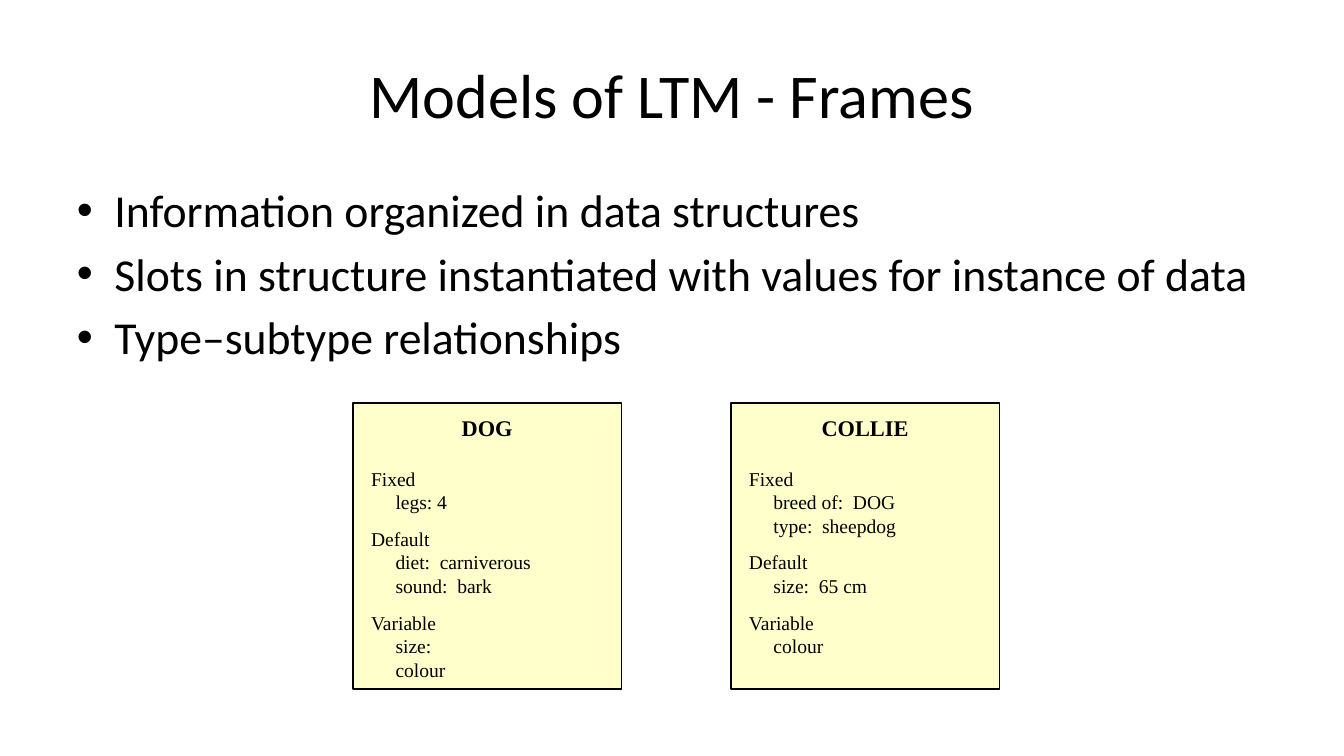
import pptx
import pptx.dml.color
import pptx.enum.shapes
import pptx.enum.text
import pptx.util
from lxml import etree
from pptx.util import Cm, Pt

BODY_FONT = "Calibri"
FRAME_FONT = "Times New Roman"
ALIGN = pptx.enum.text.PP_ALIGN
ANCHOR = pptx.enum.text.MSO_ANCHOR

POINTS = [
    "Information organized in data structures",
    "Slots in structure instantiated with values for instance of data",
    "Type–subtype relationships",
]
FRAMES = [
    ("DOG", {
        "Fixed": ["legs: 4"],
        "Default": ["diet:  carniverous", "sound:  bark"],
        "Variable": ["size:", "colour"],
    }),
    ("COLLIE", {
        "Fixed": ["breed of:  DOG", "type:  sheepdog"],
        "Default": ["size:  65 cm"],
        "Variable": ["colour"],
    }),
]


def colour(hex_value):
    return pptx.dml.color.RGBColor.from_string(hex_value)


def format_runs(paragraph, font_name, size, bold=False):
    for run in paragraph.runs:
        run.font.name = font_name
        run.font.size = Pt(size)
        run.font.bold = bold
        run.font.color.rgb = colour("000000")


def set_insets(text_frame, horizontal, vertical):
    text_frame.margin_left = text_frame.margin_right = horizontal
    text_frame.margin_top = text_frame.margin_bottom = vertical


def set_indent(paragraph, left, first_line=0):
    properties = paragraph._p.get_or_add_pPr()
    properties.set("marL", str(left))
    properties.set("indent", str(first_line))
    return properties


def add_bullet(paragraph):
    properties = set_indent(paragraph, Cm(1.04), -Cm(1.04))
    namespace = pptx.oxml.ns.qn
    etree.SubElement(properties, namespace("a:buFont")).set("typeface", "Arial")
    etree.SubElement(properties, namespace("a:buChar")).set("char", "•")


def next_paragraph(text_frame, text):
    """Use the empty first paragraph before adding further ones."""
    first = text_frame.paragraphs[0]
    paragraph = text_frame.add_paragraph() if first.runs else first
    paragraph.text = text
    return paragraph


def place_title(slide, left, top, width, height):
    title = slide.shapes.title
    title.left, title.top, title.width, title.height = left, top, width, height
    text_frame = title.text_frame
    text_frame.text = "Models of LTM - Frames"
    text_frame.vertical_anchor = ANCHOR.MIDDLE
    set_insets(text_frame, Cm(0.28), Cm(0.15))
    text_frame.paragraphs[0].alignment = ALIGN.CENTER
    format_runs(text_frame.paragraphs[0], BODY_FONT, 49)


def add_points(slide, left, top, width, height):
    text_frame = slide.shapes.add_textbox(left, top, width, height).text_frame
    text_frame.word_wrap = True
    set_insets(text_frame, Cm(0.28), Cm(0.15))
    for point in POINTS:
        paragraph = next_paragraph(text_frame, point)
        paragraph.space_before = Pt(7)
        add_bullet(paragraph)
        format_runs(paragraph, BODY_FONT, 36)


def add_frame(slide, name, slot_groups, left, top, width, height):
    """Draw one knowledge frame: its name, then its groups of slots."""
    frame = slide.shapes.add_shape(
        pptx.enum.shapes.MSO_SHAPE.RECTANGLE, left, top, width, height)
    frame.shadow.inherit = False
    frame.fill.solid()
    frame.fill.fore_color.rgb = colour("FFFFCC")
    frame.line.color.rgb = colour("000000")
    frame.line.width = Pt(1.5)

    text_frame = frame.text_frame
    text_frame.word_wrap = True
    text_frame.vertical_anchor = ANCHOR.TOP
    set_insets(text_frame, 0, Cm(0.31))
    heading = next_paragraph(text_frame, name)
    heading.alignment = ALIGN.CENTER
    heading.line_spacing = Pt(21)
    format_runs(heading, FRAME_FONT, 17.6, bold=True)

    gap = Pt(20)
    for group, slots in slot_groups.items():
        for position, text in enumerate([group, *slots]):
            line = next_paragraph(text_frame, text)
            line.alignment = ALIGN.LEFT
            line.line_spacing = Pt(18.5)
            line.space_before = Pt(0) if position else gap
            set_indent(line, Cm(1.19) if position else Cm(0.51))
            format_runs(line, FRAME_FONT, 15.4)
        gap = Pt(10.5)


def add_frames(slide, left, top, width, height, spacing):
    for column, (name, slot_groups) in enumerate(FRAMES):
        add_frame(slide, name, slot_groups,
                  left + column * (width + spacing), top, width, height)


def main():
    presentation = pptx.Presentation()
    presentation.slide_width = Cm(37.34)
    presentation.slide_height = Cm(21)
    slide = presentation.slides.add_slide(presentation.slide_layouts[5])
    margin, content_width = Cm(1.86), Cm(33.6)
    place_title(slide, margin, Cm(0.84), content_width, Cm(3.5))
    add_points(slide, margin, Cm(4.9), content_width, Cm(13.87))
    add_frames(slide, Cm(9.8), Cm(11.2), Cm(7.47), Cm(7.93), spacing=Cm(3.03))
    presentation.save("out.pptx")


if __name__ == "__main__":
    main()
